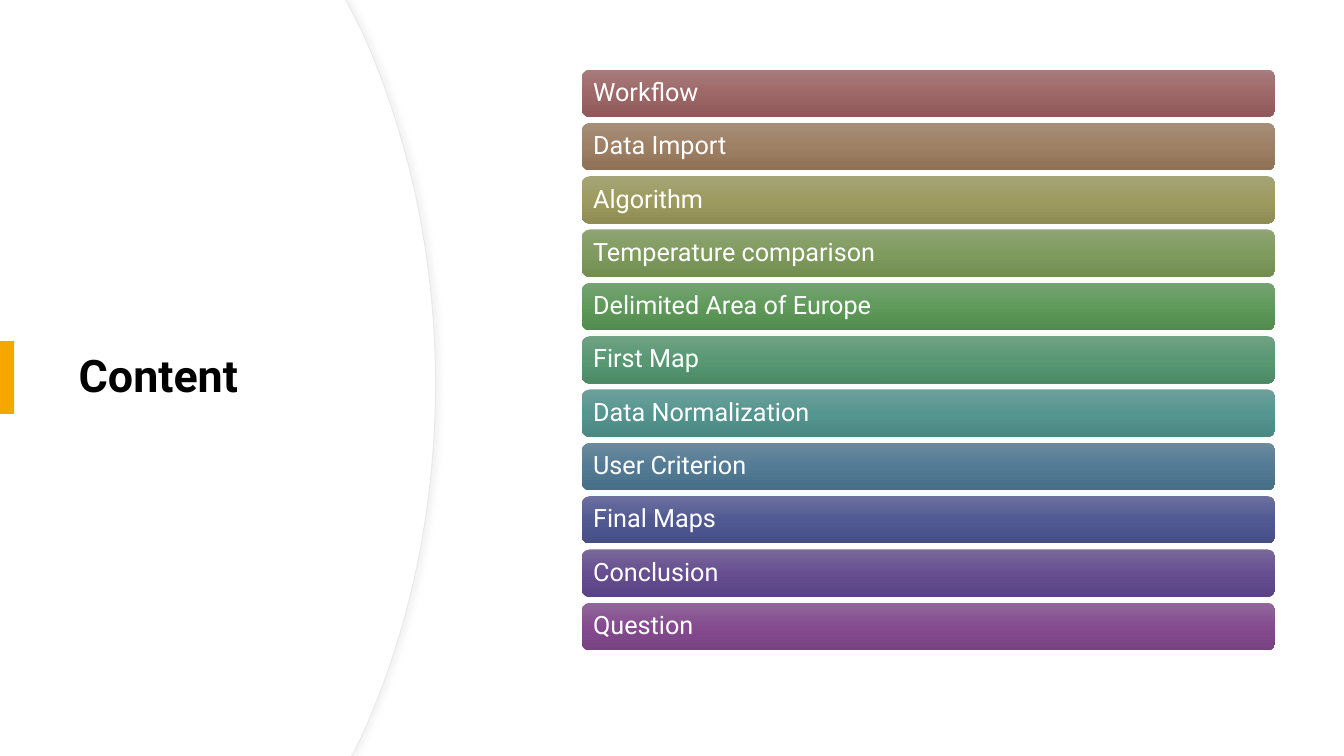
from copy import deepcopy

from lxml import etree
from pptx import Presentation
from pptx.dml.color import RGBColor
from pptx.enum import shapes, text
from pptx.oxml import ns
from pptx.util import Inches, Pt

WHITE = RGBColor(0xFF, 0xFF, 0xFF)
BLACK = RGBColor(0, 0, 0)
EDGE_GREY = RGBColor(0xE9, 0xE9, 0xE9)
SHADOW_GREY = RGBColor(0xD9, 0xD9, 0xD9)
AMBER = RGBColor(0xF5, 0xA7, 0x00)
FONT = "Roboto"

# Topic, then its gradient from top to bottom
TOPICS = [
    ("Workflow", "A77C7C", "9F6868", "905959"),
    ("Data Import", "A68E79", "9E8064", "8F7256"),
    ("Algorithm", "A5A477", "9D9B60", "8E8C53"),
    ("Temperature comparison", "8EA574", "809B5E", "728D51"),
    ("Delimited Area of Europe", "75A372", "5F9A5B", "528B4E"),
    ("First Map", "70A284", "589873", "4C8A66"),
    ("Data Normalization", "6EA09B", "569690", "4A8882"),
    ("User Criterion", "6C8A9E", "537B95", "476E87"),
    ("Final Maps", "6B709D", "515993", "454E85"),
    ("Conclusion", "79699B", "664E91", "5A4383"),
    ("Question", "91679A", "844C8F", "774182"),
]


def curve(start, control_1, control_2, end, steps=24):
    """Points along a cubic curve, without its start."""
    points = []
    for step in range(1, steps + 1):
        t = step / steps
        weights = ((1 - t) ** 3, 3 * t * (1 - t) ** 2, 3 * t * t * (1 - t), t ** 3)
        corners = (start, control_1, control_2, end)
        points.append(tuple(sum(w * c[axis] for w, c in zip(weights, corners))
                            for axis in (0, 1)))
    return points


def add_panel(page, right, height):
    """White panel from the left edge, bulging out to the given right."""
    upper = (right - 0.74, 0.29)
    middle = (right, 3.81)
    lower = (right - 0.74, 7.32)
    outline = [(right - 0.89, 0), upper]
    outline += curve(upper, (right - 0.28, 1.3), (right, 2.51), middle)
    outline += curve(middle, (right, 5.11), (right - 0.28, 6.32), lower)
    outline += [(right - 0.83, height), (0, height)]
    builder = page.shapes.build_freeform(0, 0)
    builder.add_line_segments([(Inches(x), Inches(y)) for x, y in outline], close=True)
    panel = builder.convert_to_shape()
    panel.shadow.inherit = False
    panel.fill.solid()
    panel.fill.fore_color.rgb = WHITE
    panel.line.fill.background()
    return panel


def add_edge(panel):
    """Thin grey line and soft shadow to the right."""
    panel.line.color.rgb = EDGE_GREY
    panel.line.width = Pt(0.75)
    effects = panel._element.spPr.find(ns.qn("a:effectLst"))
    shadow = etree.SubElement(effects, ns.qn("a:outerShdw"), blurRad=str(Pt(4)),
                              dist=str(Pt(3)), dir="0", algn="l", rotWithShape="0")
    color = etree.SubElement(shadow, ns.qn("a:srgbClr"), val=str(SHADOW_GREY))
    etree.SubElement(color, ns.qn("a:alpha"), val="30000")


def add_heading(page, left, top, width, height):
    """Slide title with an amber marker at the slide's edge."""
    title = page.shapes.title
    title.left, title.top = Inches(left), Inches(top)
    title.width, title.height = Inches(width), Inches(height)
    page.shapes._spTree.append(title._element)  # in front of the panel
    frame = title.text_frame
    frame.text = "Content"
    frame.word_wrap = True
    frame.vertical_anchor = text.MSO_ANCHOR.MIDDLE
    para = frame.paragraphs[0]
    para.alignment = text.PP_ALIGN.LEFT
    para.line_spacing = 0.9
    set_font(para, 32, BLACK, bold=True)

    marker_height = 0.72
    marker = page.shapes.add_shape(
        shapes.MSO_SHAPE.RECTANGLE, 0, Inches(top + (height - marker_height) / 2),
        Inches(0.14), Inches(marker_height))
    marker.shadow.inherit = False
    marker.fill.solid()
    marker.fill.fore_color.rgb = AMBER
    marker.line.fill.background()


def set_font(para, size, color, bold=False):
    para.font.name = FONT
    para.font.size = Pt(size)
    para.font.bold = bold
    para.font.color.rgb = color


def fill_gradient(bar, colors):
    """Evenly spaced gradient from top to bottom."""
    bar.fill.gradient()
    bar.fill.gradient_angle = 270
    stop_list = bar._element.spPr.find(".//" + ns.qn("a:gsLst"))
    stop_list.insert(1, deepcopy(stop_list[0]))
    for index, (stop, color) in enumerate(zip(bar.fill.gradient_stops, colors)):
        stop.position = index / (len(colors) - 1)
        stop.color.rgb = RGBColor.from_string(color)


def add_topics(page, left, top, width, height):
    """Stack of equal bars, one per topic."""
    bar_height = 0.47
    pitch = (height - bar_height) / (len(TOPICS) - 1)
    group = page.shapes.add_group_shape()
    for index, (topic, *colors) in enumerate(TOPICS):
        bar = group.shapes.add_shape(
            shapes.MSO_SHAPE.ROUNDED_RECTANGLE, Inches(left),
            Inches(top + index * pitch), Inches(width), Inches(bar_height))
        bar.shadow.inherit = False
        bar.line.fill.background()
        fill_gradient(bar, colors)
        frame = bar.text_frame
        frame.word_wrap = True
        frame.vertical_anchor = text.MSO_ANCHOR.MIDDLE
        frame.margin_left = frame.margin_right = Inches(0.09)
        frame.margin_top = frame.margin_bottom = Inches(0.07)
        frame.text = topic
        para = frame.paragraphs[0]
        para.alignment = text.PP_ALIGN.LEFT
        para.line_spacing = 0.9
        set_font(para, 18, WHITE)


def main():
    deck = Presentation()
    deck.slide_width, deck.slide_height = Inches(13.33), Inches(7.5)
    page = deck.slides.add_slide(deck.slide_layouts[5])
    # Curved panel: outlined sheet, then a plain one just inside it
    add_edge(add_panel(page, 4.32, 7.5))
    add_panel(page, 4.31, 7.5)
    add_heading(page, 0.68, 1.27, 3.18, 4.95)
    add_topics(page, 5.77, 0.69, 6.88, 5.76)
    deck.save("out.pptx")


if __name__ == "__main__":
    main()
